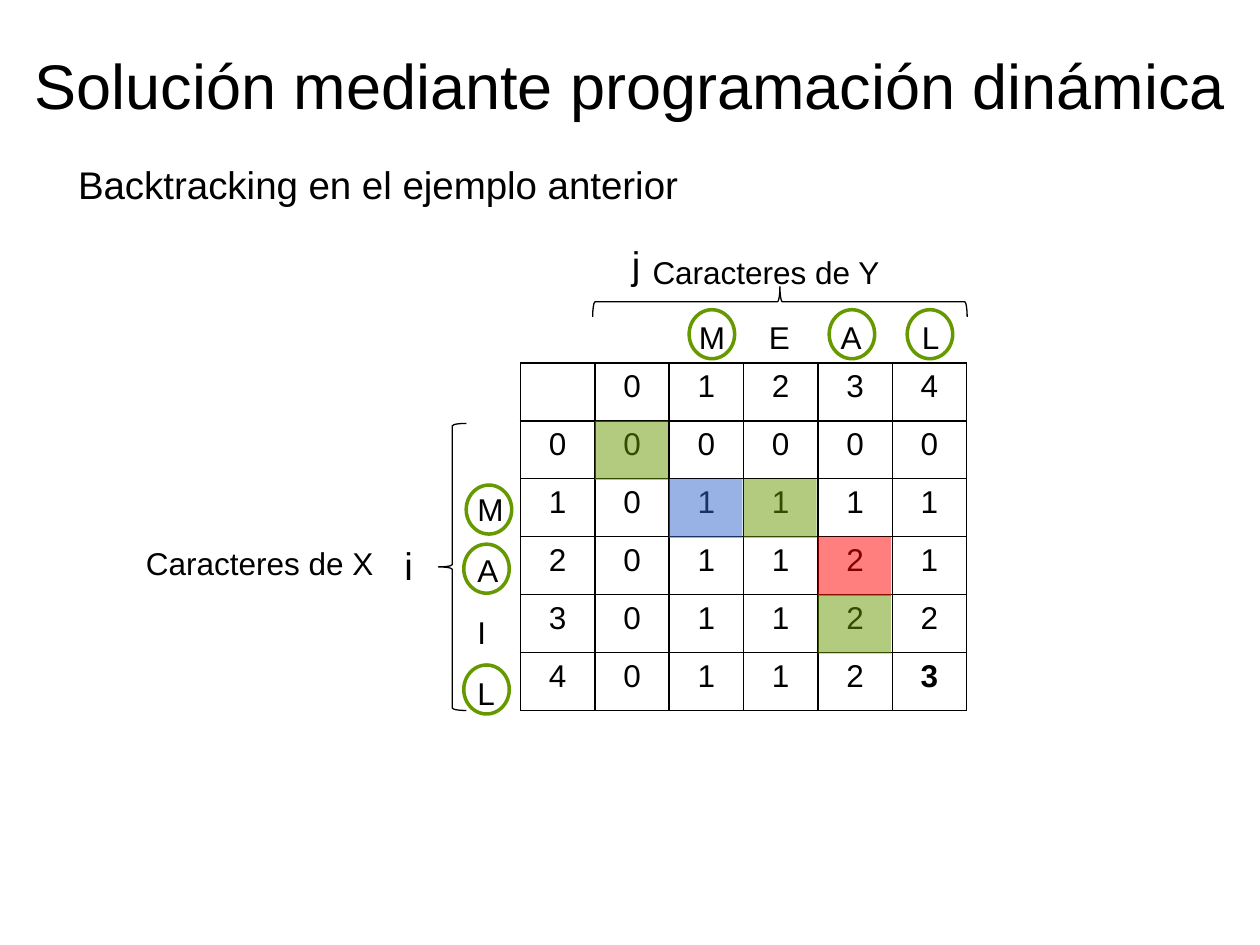
from dataclasses import dataclass

from lxml import etree
from pptx import Presentation
from pptx.dml.color import RGBColor
from pptx.enum import shapes, text
from pptx.oxml import ns
from pptx.util import Pt

BLACK = RGBColor(0x00, 0x00, 0x00)
GREEN = RGBColor(0x66, 0x99, 0x00)
RED = RGBColor(0xFF, 0x00, 0x00)
BLUE = RGBColor(0x33, 0x66, 0xCC)

GRID_LEFT, GRID_TOP = 297.4, 207.4
COL_W, ROW_H = 42.5, 33.1
SHADE_W, SHADE_H = 41.8, 33.8
RING_W, RING_H = 26, 28

LCS_ROWS = ["", *"01234"], [*"000000"], [*"101111"], [*"201121"], [*"301122"], [*"401123"]


@dataclass(frozen=True)
class Box:
    left: float
    top: float
    width: float
    height: float

    def emu(self) -> list:
        return [Pt(v) for v in (self.left, self.top, self.width, self.height)]


@dataclass(frozen=True)
class Label:
    lines: tuple
    box: Box
    size: float = 18
    align: text.PP_ALIGN = text.PP_ALIGN.LEFT
    anchor: text.MSO_ANCHOR = text.MSO_ANCHOR.TOP
    wrap: bool = True
    inset: float = 7.2
    space_after: float = 0
    tabs: tuple = ()


@dataclass(frozen=True)
class Shade:
    row: int
    col: int
    color: RGBColor


@dataclass(frozen=True)
class Brace:
    box: Box
    rotation: float = 0


LABELS = [
    Label(("Solución mediante programación dinámica",), Box(0, 15, 720, 58.5), 36,
          text.PP_ALIGN.CENTER, text.MSO_ANCHOR.BOTTOM),
    Label(("Backtracking en el ejemplo anterior",), Box(37.5, 88.5, 561, 34), 22),
    Label(("j",), Box(354, 134, 31, 29.5), 22),
    Label(("i",), Box(224, 306, 31, 29.5), 22),
    Label(("Caracteres de X",), Box(76.3, 307.5, 147.6, 32.4)),
    Label(("Caracteres de Y",), Box(365.8, 141, 158.4, 29.5)),
    Label(("M\tE\tA\tL",), Box(382.3, 178, 170, 29.5), inset=17, tabs=(40, 81, 127.5)),
    Label(tuple("MAIL"), Box(265.7, 276.5, 22.3, 129.6), wrap=False, space_after=13.5),
]
SHADES = [
    Shade(4, 4, GREEN), Shade(3, 4, RED), Shade(2, 3, GREEN),
    Shade(1, 1, GREEN), Shade(2, 2, BLUE),
]
BRACES = [Brace(Box(250.5, 242, 16, 164)), Brace(Box(437, 65.5, 17.3, 214), 90)]
RING_SPOTS = [
    (265, 380), (518.4, 177), (265, 311), (473.8, 177), (266.4, 277.2), (393.8, 177),
]


def set_attrs(obj, values: dict) -> None:
    for name, value in values.items():
        setattr(obj, name, value)


def add_run(p, wording: str, size: float, bold: bool = False) -> None:
    r = p.add_run()
    r.text = wording
    set_attrs(r.font, {"name": "Arial", "size": Pt(size), "bold": bold})
    r.font.color.rgb = BLACK


def add_tab_stops(p, stops: tuple) -> None:
    tab_list = etree.SubElement(p._p.get_or_add_pPr(), ns.qn("a:tabLst"))
    for stop in stops:
        etree.SubElement(tab_list, ns.qn("a:tab"), pos=str(Pt(stop)), algn="l")


def add_label(sp, label: Label) -> None:
    tf = sp.add_textbox(*label.box.emu()).text_frame
    set_attrs(tf, {
        "word_wrap": label.wrap,
        "vertical_anchor": label.anchor,
        "margin_left": Pt(label.inset),
    })
    for n, line in enumerate(label.lines):
        p = tf.add_paragraph() if n else tf.paragraphs[0]
        set_attrs(p, {"alignment": label.align, "space_after": Pt(label.space_after)})
        if label.tabs:
            add_tab_stops(p, label.tabs)
        # Tabs are kept as text within the run.
        add_run(p, line, label.size)


def add_borders(cell) -> None:
    props = cell._tc.get_or_add_tcPr()
    for side in ("lnL", "lnR", "lnT", "lnB"):
        ln = etree.SubElement(props, ns.qn(f"a:{side}"), w=str(Pt(1)))
        fill = etree.SubElement(ln, ns.qn("a:solidFill"))
        etree.SubElement(fill, ns.qn("a:srgbClr"), val=str(BLACK))


def add_lcs_table(sp) -> None:
    n_rows, n_cols = len(LCS_ROWS), len(LCS_ROWS[0])
    box = Box(GRID_LEFT, GRID_TOP, n_cols * COL_W, n_rows * ROW_H)
    table = sp.add_table(n_rows, n_cols, *box.emu()).table
    set_attrs(table, {"first_row": False, "horz_banding": False})
    for col in table.columns:
        col.width = Pt(COL_W)
    for i, values in enumerate(LCS_ROWS):
        table.rows[i].height = Pt(ROW_H)
        for j, value in enumerate(values):
            cell = table.cell(i, j)
            add_borders(cell)
            cell.fill.background()
            p = cell.text_frame.paragraphs[0]
            p.alignment = text.PP_ALIGN.CENTER
            if value:
                is_result = (i, j) == (n_rows - 1, n_cols - 1)
                add_run(p, value, 18, bold=is_result)


def add_shade(sp, shade: Shade) -> None:
    """Lay a half-transparent rectangle over one table cell."""
    box = Box(GRID_LEFT + shade.col * COL_W, GRID_TOP + shade.row * ROW_H, SHADE_W, SHADE_H)
    s = sp.add_shape(shapes.MSO_SHAPE.RECTANGLE, *box.emu())
    s.shadow.inherit = False
    s.line.fill.background()
    s.fill.solid()
    s.fill.fore_color.rgb = shade.color
    color = s.element.spPr.find(f"{ns.qn('a:solidFill')}/{ns.qn('a:srgbClr')}")
    etree.SubElement(color, ns.qn("a:alpha"), val="50000")


def add_outline(sp, kind, box: Box, color: RGBColor, width: float, rotation: float = 0) -> None:
    s = sp.add_shape(kind, *box.emu())
    s.shadow.inherit = False
    s.rotation = rotation
    s.fill.background()
    s.line.color.rgb = color
    s.line.width = Pt(width)


def main() -> None:
    prs = Presentation()
    set_attrs(prs, {"slide_width": Pt(720), "slide_height": Pt(540)})
    sp = prs.slides.add_slide(prs.slide_layouts[6]).shapes
    add_lcs_table(sp)
    for shade in SHADES:
        add_shade(sp, shade)
    for brace in BRACES:
        add_outline(sp, shapes.MSO_SHAPE.LEFT_BRACE, brace.box, BLACK, 0.75, brace.rotation)
    for label in LABELS:
        add_label(sp, label)
    for left, top in RING_SPOTS:
        add_outline(sp, shapes.MSO_SHAPE.OVAL, Box(left, top, RING_W, RING_H), GREEN, 2)
    prs.save("out.pptx")


if __name__ == "__main__":
    main()
